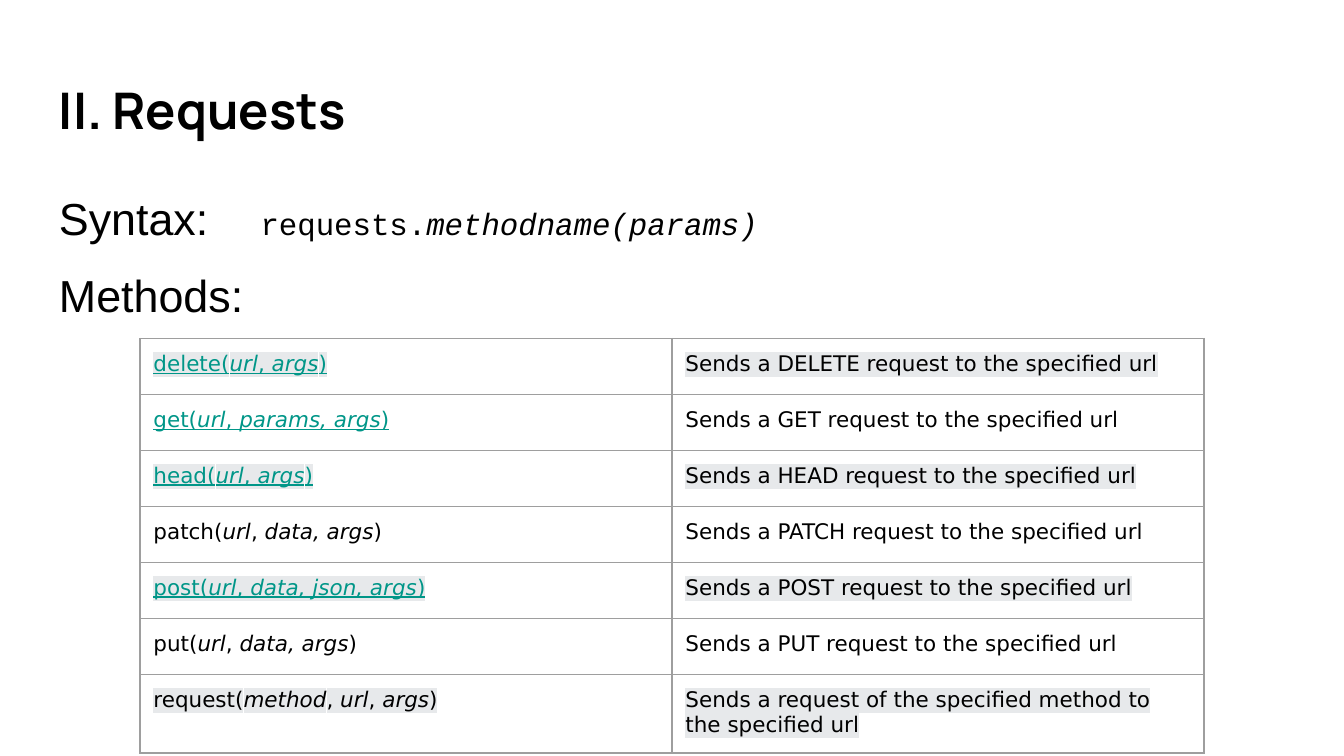
from lxml import etree
from pptx import Presentation
from pptx.dml.color import RGBColor
from pptx.oxml import ns
from pptx.util import Pt

BLACK, WHITE, GREY, TEAL, EDGE = "000000", "FFFFFF", "E7E9EB", "009688", "9E9E9E"
INSET = 7.2


def paint(fill, color):
    fill.solid()
    fill.fore_color.rgb = RGBColor.from_string(color)


def xml_fill(node, color):
    fill = etree.SubElement(node, ns.qn("a:solidFill"))
    etree.SubElement(fill, ns.qn("a:srgbClr"), val=color)


class Deck:
    def __init__(self, width, height):
        self.show = Presentation()
        self.show.slide_width, self.show.slide_height = Pt(width), Pt(height)
        self.slide = self.show.slides.add_slide(self.show.slide_layouts[6])
        paint(self.slide.background.fill, WHITE)

    def run(self, para, words, font, size, color=BLACK, mark=None,
            bold=False, italic=False, line=False):
        """Add one run; mark is the highlight colour."""
        run = para.add_run()
        run.text = words
        style = run.font
        style.size, style.bold, style.italic = Pt(size), bold, italic
        style.underline = line
        paint(style.fill, color)
        if mark:
            light = etree.Element(ns.qn("a:highlight"))
            etree.SubElement(light, ns.qn("a:srgbClr"), val=mark)
            run._r.rPr.find(ns.qn("a:solidFill")).addnext(light)
        style.name = font

    def pad(self, item):
        for side in ("left", "right", "top", "bottom"):
            setattr(item, f"margin_{side}", Pt(INSET))

    def box(self, left, top, width, height):
        frame = self.slide.shapes.add_textbox(
            Pt(left), Pt(top), Pt(width), Pt(height)).text_frame
        frame.word_wrap = True
        self.pad(frame)
        return frame

    def cell(self, cell, words, color, mark):
        """Fill a bordered cell; parts between asterisks are italic."""
        self.pad(cell)
        props = cell._tc.get_or_add_tcPr()
        for side in ("lnL", "lnR", "lnT", "lnB"):
            xml_fill(etree.SubElement(props, ns.qn(f"a:{side}"), w=str(Pt(0.75))), EDGE)
        cell.fill.background()
        for i, part in enumerate(words.split("*")):
            self.run(cell.text_frame.paragraphs[0], part, "DejaVu Sans", 11.5,
                     color, mark, italic=i % 2 == 1, line=color == TEAL)

    def table(self, rows, left, top, width, height):
        """Draw (call, note, linked) rows, highlighting every other one."""
        grid = self.slide.shapes.add_table(
            len(rows), 2, Pt(left), Pt(top), Pt(width), Pt(height * len(rows))).table
        grid.first_row = grid.horz_banding = False
        for i, (call, note, linked) in enumerate(rows):
            mark = WHITE if i % 2 else GREY
            self.cell(grid.cell(i, 0), call, TEAL if linked else BLACK, mark)
            self.cell(grid.cell(i, 1), f"Sends a {note} the specified url", BLACK, mark)


METHODS = [
    ("delete(*url*, *args*)", "DELETE request to", True),
    ("get(*url*, *params, args*)", "GET request to", True),
    ("head(*url*, *args*)", "HEAD request to", True),
    ("patch(*url*, *data, args*)", "PATCH request to", False),
    ("post(*url*, *data, json, args*)", "POST request to", True),
    ("put(*url*, *data, args*)", "PUT request to", False),
    ("request(*method*, *url*, *args*)", "request of the specified method to", False),
]


def main():
    deck = Deck(720, 405)
    title = deck.box(24.5, 35.3, 671, 49)
    deck.run(title.paragraphs[0], "II. Requests", "Manrope", 27, bold=True)

    body = deck.box(24.5, 90.7, 671, 269.3)
    syntax, methods = body.paragraphs[0], body.add_paragraph()
    syntax.line_spacing = methods.line_spacing = 1.15
    methods.space_before = Pt(8)
    deck.run(syntax, "Syntax:\t", "Arial", 24, mark=WHITE)
    deck.run(syntax, "requests.", "Courier New", 16.5, mark=WHITE)
    deck.run(syntax, "methodname(params)", "Courier New", 16.5, mark=WHITE, italic=True)
    deck.run(methods, "Methods:", "Arial", 24, mark=WHITE)

    deck.table(METHODS, 75, 181.4, 570, 30)
    deck.show.save("out.pptx")


if __name__ == "__main__":
    main()
